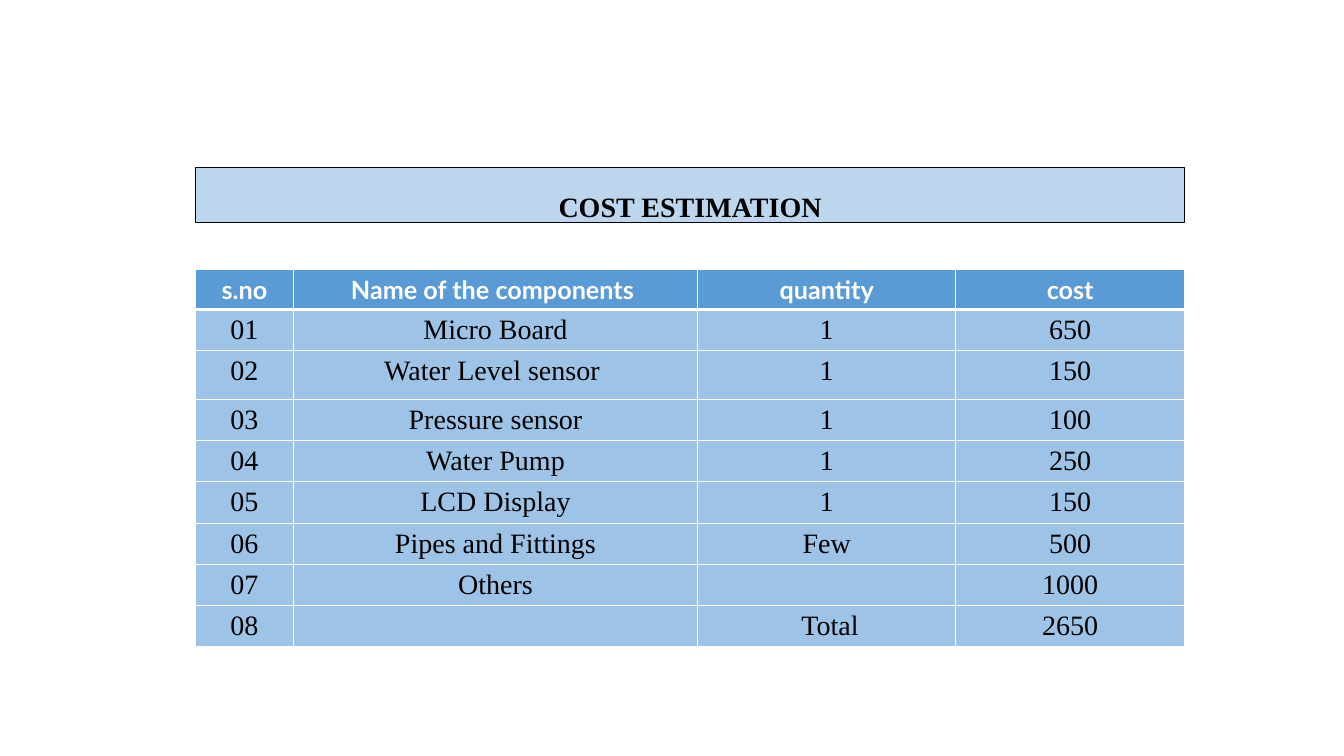
from lxml.etree import SubElement
from pptx import Presentation
from pptx.dml.color import RGBColor
from pptx.enum.shapes import MSO_SHAPE
from pptx.enum.text import MSO_ANCHOR, PP_ALIGN
from pptx.oxml.ns import qn
from pptx.util import Inches, Pt

WHITE = RGBColor(0xFF, 0xFF, 0xFF)
BLACK = RGBColor(0x00, 0x00, 0x00)
HEADER_BLUE = RGBColor(0x5B, 0x9B, 0xD5)
ROW_BLUE = RGBColor(0x9D, 0xC3, 0xE6)
TITLE_BLUE = RGBColor(0xBC, 0xD6, 0xEE)
SERIF, SANS = "Times New Roman", "Lato"

# Shared left edge and width of title and table, in inches
LEFT, WIDTH = 1.94, 9.81
COLUMN_WIDTHS = [0.97, 4.01, 2.56, 2.27]
HEADER_HEIGHT, ROW_HEIGHT, SENSOR_ROW_HEIGHT = 0.38, 0.41, 0.48
SENSOR_ROW = 2

COSTS = [
    ("s.no", "Name of the components ", "quantity", "cost"),
    ("01", "Micro Board", "1", "650"),
    ("02", "Water Level sensor ", "1", "150"),
    ("03", "Pressure sensor", "1", "100"),
    ("04", "Water Pump", "1", "250"),
    ("05", "LCD Display", "1", "150"),
    ("06", "Pipes and Fittings", "Few", "500"),
    ("07", "Others", "", "1000"),
    ("08", "", " Total", "2650"),
]


def write_centred(text_frame, text, font_name, size, color, bold):
    paragraph = text_frame.paragraphs[0]
    paragraph.text = text
    paragraph.alignment = PP_ALIGN.CENTER
    for run in paragraph.runs:
        run.font.name = font_name
        run.font.size = Pt(size)
        run.font.bold = bold
        run.font.color.rgb = color
    return paragraph


def set_borders(cell, top, bottom):
    """Draw white cell borders; the fill must be set afterwards."""
    properties = cell._tc.get_or_add_tcPr()
    for tag, width in (("a:lnL", 1), ("a:lnR", 1), ("a:lnT", top), ("a:lnB", bottom)):
        border = SubElement(properties, qn(tag), w=str(Pt(width)))
        fill = SubElement(border, qn("a:solidFill"))
        SubElement(fill, qn("a:srgbClr"), val=str(WHITE))


def add_title(slide, left, top, width, height):
    banner = slide.shapes.add_shape(
        MSO_SHAPE.RECTANGLE, Inches(left), Inches(top), Inches(width), Inches(height))
    banner.shadow.inherit = False
    banner.fill.solid()
    banner.fill.fore_color.rgb = TITLE_BLUE
    banner.line.color.rgb = BLACK
    banner.line.width = Pt(1)
    banner.text_frame.word_wrap = True
    banner.text_frame.vertical_anchor = MSO_ANCHOR.TOP
    heading = write_centred(banner.text_frame, "COST ESTIMATION", SERIF, 20, BLACK, True)
    heading.line_spacing = 1.5


def add_cost_table(slide, left, top, width):
    heights = [HEADER_HEIGHT] + [ROW_HEIGHT] * (len(COSTS) - 1)
    heights[SENSOR_ROW] = SENSOR_ROW_HEIGHT
    table = slide.shapes.add_table(
        len(COSTS), len(COLUMN_WIDTHS), Inches(left), Inches(top),
        Inches(width), Inches(sum(heights))).table
    for column, share in zip(table.columns, COLUMN_WIDTHS):
        column.width = Inches(width * share / sum(COLUMN_WIDTHS))
    for row, height in zip(table.rows, heights):
        row.height = Inches(height)

    for r, entries in enumerate(COSTS):
        is_header = r == 0
        style = (SANS, 18, WHITE, True) if is_header else (SERIF, 20, BLACK, False)
        for c, entry in enumerate(entries):
            cell = table.cell(r, c)
            write_centred(cell.text_frame, entry, *style)
            # A thick rule separates the header from the items
            set_borders(cell, 3 if r == 1 else 1, 3 if is_header else 1)
            cell.fill.solid()
            cell.fill.fore_color.rgb = HEADER_BLUE if is_header else ROW_BLUE


def main():
    presentation = Presentation()
    presentation.slide_width = Inches(13.33)
    presentation.slide_height = Inches(7.5)
    slide = presentation.slides.add_slide(presentation.slide_layouts[6])
    add_cost_table(slide, LEFT, 2.67, WIDTH)
    add_title(slide, LEFT, 1.66, WIDTH, 0.55)
    presentation.save("out.pptx")


if __name__ == "__main__":
    main()
